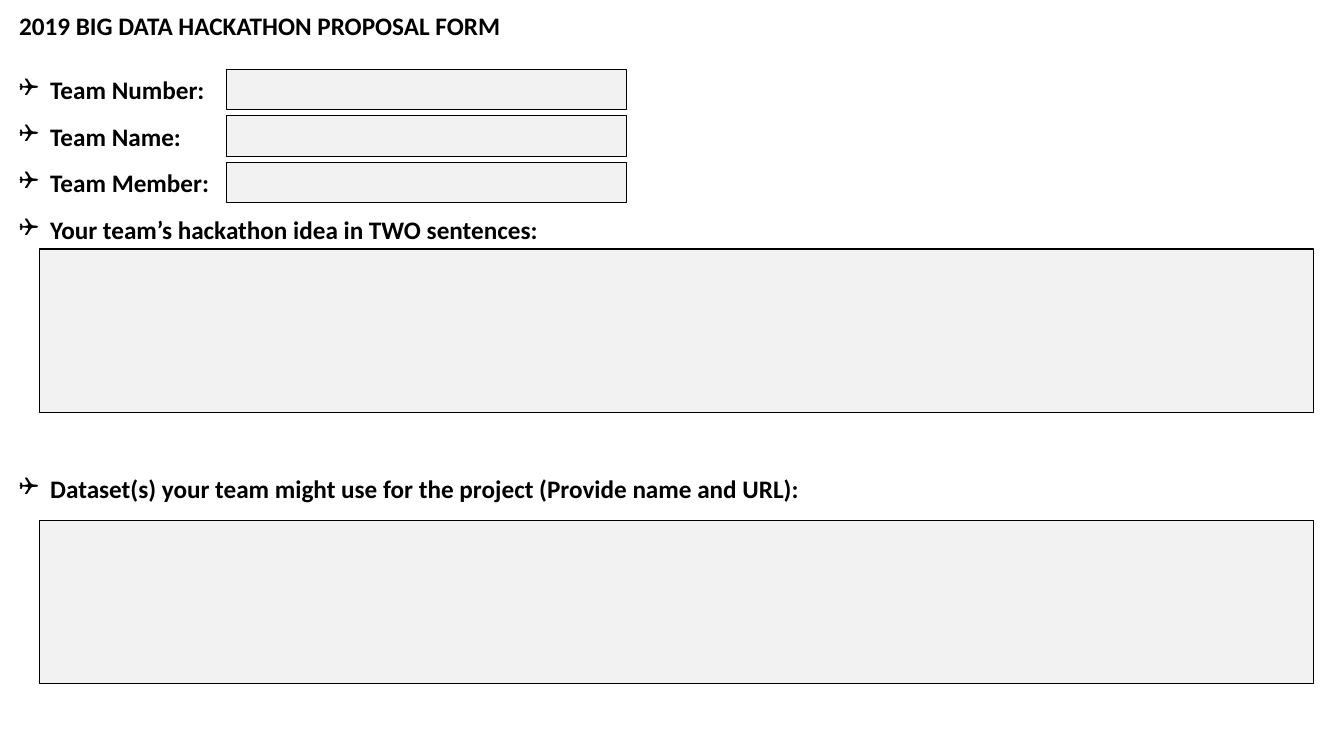
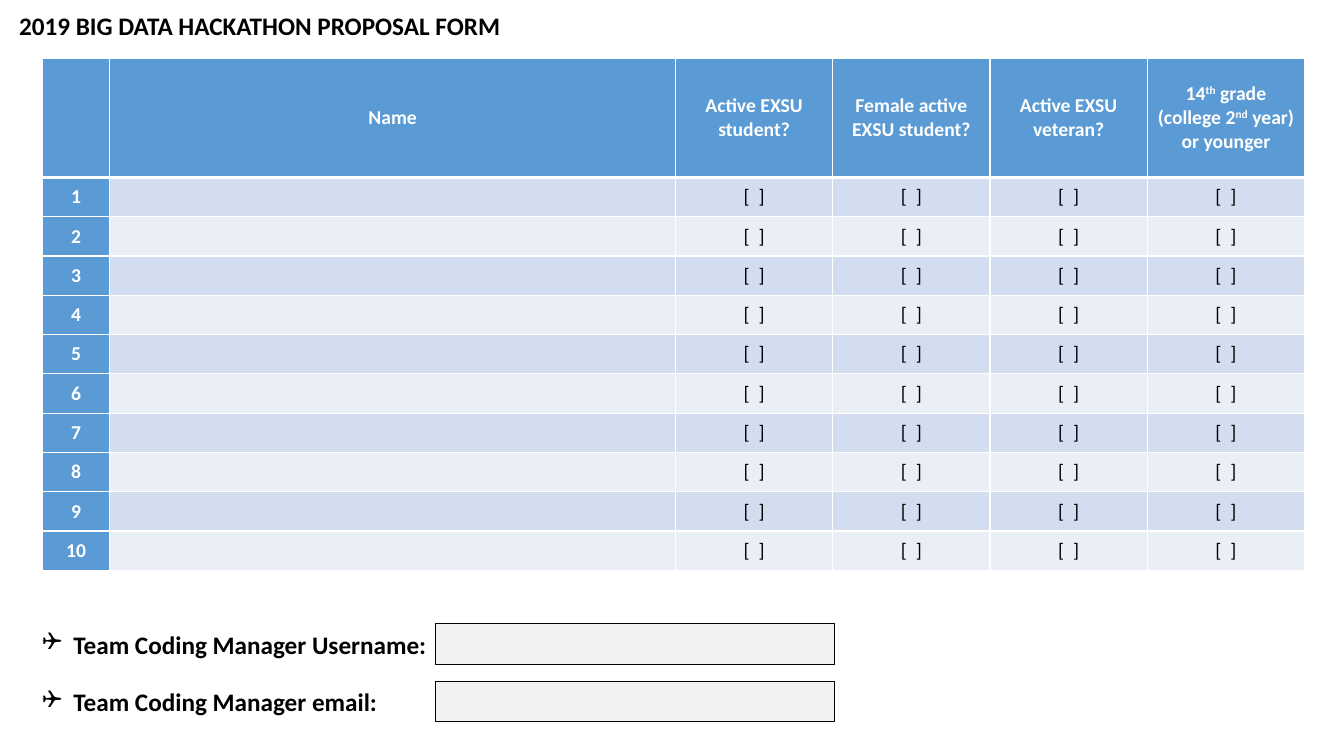
from lxml import etree
from pptx import Presentation
from pptx.dml.color import RGBColor
from pptx.enum import shapes, text
from pptx.oxml import ns
from pptx.util import Inches, Pt

# Shared style
FONT = "Calibri"
BLACK = RGBColor(0x00, 0x00, 0x00)
WHITE = RGBColor(0xFF, 0xFF, 0xFF)
FIELD_GRAY = RGBColor(0xF2, 0xF2, 0xF2)
HEADER_BLUE = RGBColor(0x5B, 0x9B, 0xD5)
BANDS = (RGBColor(0xD2, 0xDE, 0xEF), RGBColor(0xEA, 0xEF, 0xF7))

TITLE = "2019 BIG DATA HACKATHON PROPOSAL FORM"
LEFT = 0.09
LINE_H = 0.4
FIELD_W = 3.96
INDENT = Inches(0.31)

# Roster table; odd parts between bars are superscript
HEADERS = ["", "Name", "Active EXSU student?", "Female active EXSU student?",
           "Active EXSU veteran?", "14|th| grade (college 2|nd| year) or younger"]
COL_WIDTHS = [0.67, 5.61] + [1.56] * 4
HEADER_H, ROW_H = 1.18, 0.39
MEMBERS = 10


def style_run(r, size, color, bold):
    r.font.name = FONT
    r.font.size = Pt(size)
    r.font.color.rgb = color
    r.font.bold = bold


def add_slide(prs):
    """Add a slide carrying the form title."""
    s = prs.slides.add_slide(prs.slide_layouts.get_by_name("Title Only"))
    title = s.shapes.title
    title.left, title.top = Inches(LEFT), Inches(0.05)
    title.width, title.height = Inches(6), Inches(LINE_H)
    tf = title.text_frame
    tf.text = TITLE
    tf.auto_size = text.MSO_AUTO_SIZE.NONE
    tf.vertical_anchor = text.MSO_ANCHOR.MIDDLE
    p = tf.paragraphs[0]
    p.alignment = text.PP_ALIGN.LEFT
    style_run(p.runs[0], 18, BLACK, True)
    return s


def add_label(s, label, x, y, w):
    """Add a bold line with a checkbox bullet."""
    tf = s.shapes.add_textbox(Inches(x), Inches(y), Inches(w), Inches(LINE_H)).text_frame
    tf.text = label
    tf.word_wrap = True
    p = tf.paragraphs[0]
    style_run(p.runs[0], 18, BLACK, True)
    pPr = p._p.get_or_add_pPr()
    pPr.set("marL", str(INDENT))
    pPr.set("indent", str(-INDENT))
    etree.SubElement(pPr, ns.qn("a:buFont"), typeface="Wingdings")
    etree.SubElement(pPr, ns.qn("a:buChar"), char="❑")


def add_field(s, x, y, w=FIELD_W, h=LINE_H):
    """Add an empty answer box."""
    sp = s.shapes.add_shape(shapes.MSO_SHAPE.RECTANGLE,
                            Inches(x), Inches(y), Inches(w), Inches(h))
    sp.shadow.inherit = False
    sp.fill.solid()
    sp.fill.fore_color.rgb = FIELD_GRAY
    sp.line.color.rgb = BLACK
    sp.line.width = Pt(0.75)


def set_borders(cell, top, bottom):
    """Draw white borders; widths in points, sides always 1."""
    tcPr = cell._tc.get_or_add_tcPr()
    for side, width in (("L", 1), ("R", 1), ("T", top), ("B", bottom)):
        ln = etree.SubElement(tcPr, ns.qn("a:ln" + side), w=str(Pt(width)))
        fill = etree.SubElement(ln, ns.qn("a:solidFill"))
        etree.SubElement(fill, ns.qn("a:srgbClr"), val=str(WHITE))


def fill_cell(cell, content, fill, color, bold):
    cell.fill.solid()
    cell.fill.fore_color.rgb = fill
    cell.margin_left = cell.margin_right = Inches(0.07)
    cell.margin_top = cell.margin_bottom = 0
    cell.vertical_anchor = text.MSO_ANCHOR.MIDDLE
    p = cell.text_frame.paragraphs[0]
    p.alignment = text.PP_ALIGN.CENTER
    if not content:
        return
    for i, part in enumerate(content.split("|")):
        r = p.add_run()
        r.text = part
        style_run(r, 14, color, bold)
        if i % 2:
            r._r.get_or_add_rPr().set("baseline", "30000")


def add_roster(s, x, y):
    """Add the table of team members with its check columns."""
    rows = [HEADERS] + [[str(n), ""] + ["[  ]"] * 4 for n in range(1, MEMBERS + 1)]
    height = HEADER_H + ROW_H * MEMBERS
    table = s.shapes.add_table(len(rows), len(HEADERS), Inches(x), Inches(y),
                               Inches(sum(COL_WIDTHS)), Inches(height)).table
    for column, width in zip(table.columns, COL_WIDTHS):
        column.width = Inches(width)
    for i, row in enumerate(rows):
        table.rows[i].height = Inches(ROW_H if i else HEADER_H)
        for j, content in enumerate(row):
            cell = table.cell(i, j)
            set_borders(cell, top=3 if i == 1 else 1, bottom=1 if i else 3)
            if i == 0 or j == 0:
                fill_cell(cell, content, HEADER_BLUE, WHITE, True)
            else:
                fill_cell(cell, content, BANDS[(i - 1) % 2], BLACK, False)


def build_proposal(prs):
    s = add_slide(prs)
    # Short team fields
    for i, label in enumerate(["Team Number:", "Team Name:", "Team Member:"]):
        y = 0.69 + 0.46 * i
        add_label(s, label, LEFT, y, 2.16)
        add_field(s, 2.25, y)
    # Long answers
    for label, label_y, field_y in [
        ("Your team’s hackathon idea in TWO sentences:", 2.08, 2.47),
        ("Dataset(s) your team might use for the project (Provide name and URL):",
         4.65, 5.16),
    ]:
        add_label(s, label, LEFT, label_y, 8.23)
        add_field(s, 0.39, field_y, 12.64, 1.62)


def build_members(prs):
    s = add_slide(prs)
    add_roster(s, 0.42, 0.58)
    # Manager contact fields
    for label, y in [("Team Coding Manager Username:", 6.19),
                     ("Team Coding Manager email:", 6.76)]:
        add_label(s, label, 0.32, y, 4.13)
        add_field(s, 4.32, y)


def main():
    prs = Presentation()
    prs.slide_width, prs.slide_height = Inches(13.33), Inches(7.5)
    build_proposal(prs)
    build_members(prs)
    prs.save("out.pptx")


if __name__ == "__main__":
    main()
